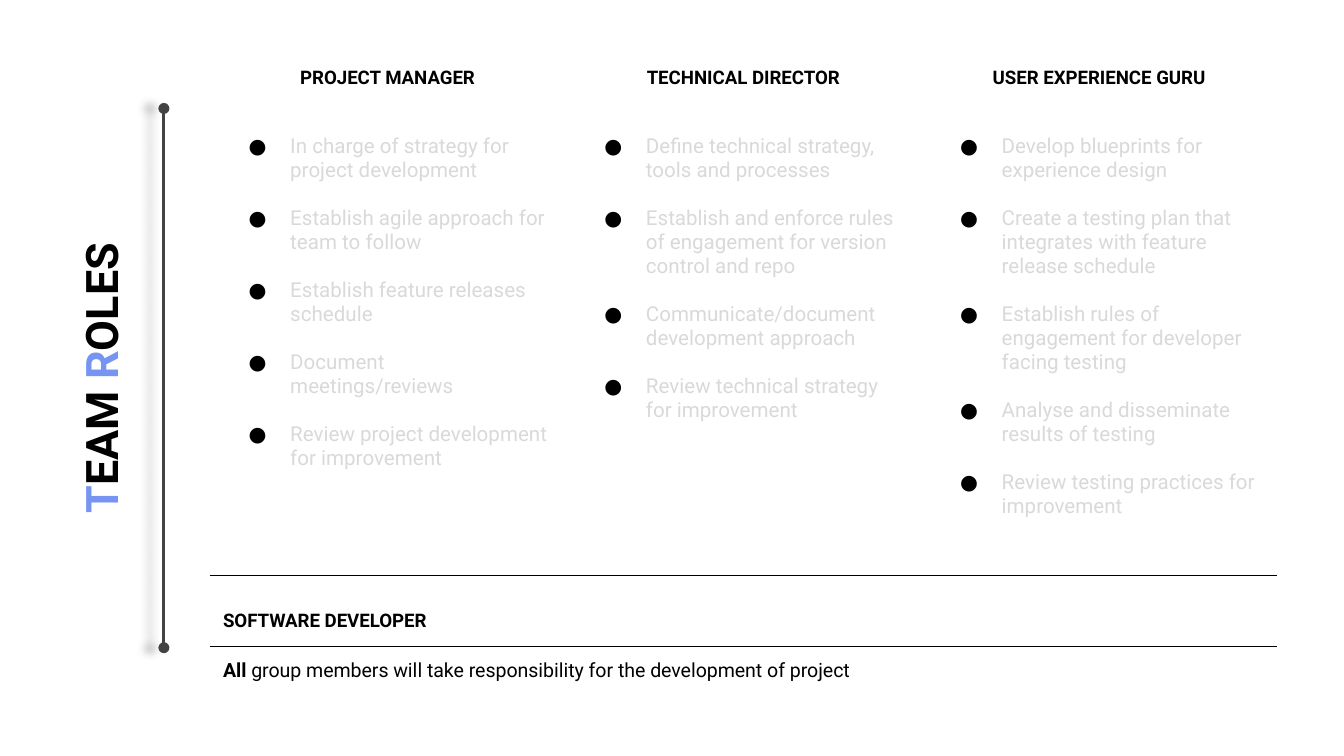
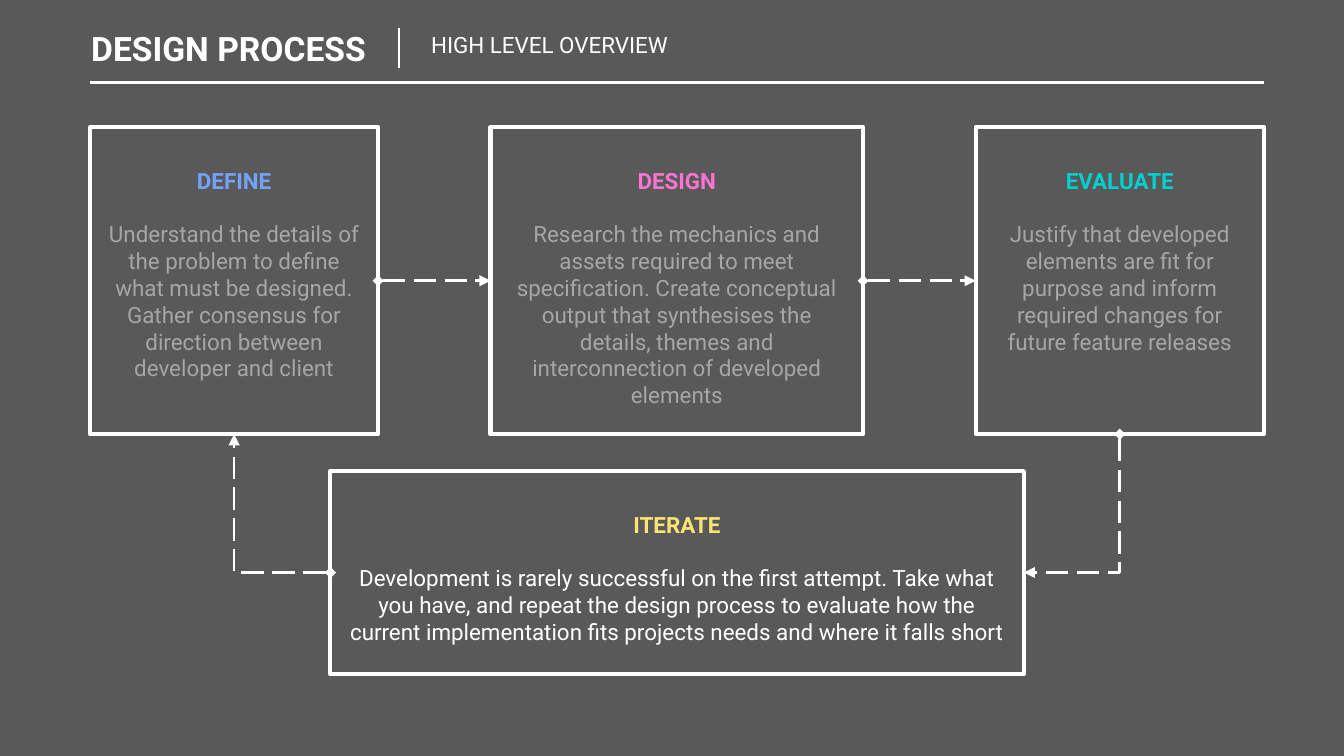
import pptx
import pptx.dml.color
import pptx.enum.dml
import pptx.enum.shapes
import pptx.enum.text
import pptx.oxml
import pptx.oxml.ns
import pptx.util
from lxml import etree

Pt = pptx.util.Pt
qn = pptx.oxml.ns.qn
LEFT, CENTER = pptx.enum.text.PP_ALIGN.LEFT, pptx.enum.text.PP_ALIGN.CENTER
STRAIGHT = pptx.enum.shapes.MSO_CONNECTOR.STRAIGHT
ELBOW = pptx.enum.shapes.MSO_CONNECTOR.ELBOW
TOP, LEFT_SIDE, BOTTOM, RIGHT_SIDE = range(4)

# Shared look
FONT = "Roboto"
BLACK, WHITE, PALE, GREY = "000000", "FFFFFF", "D9D9D9", "A6A6A6"
CHARCOAL, SLATE, ACCENT = "434343", "595959", "7794F3"
INSET = 7.2


def rgb(value):
    return pptx.dml.color.RGBColor.from_string(value)


def write(frame, paragraphs, align=LEFT, after=0, top=INSET):
    """Fill a frame or cell; each paragraph is a list of (text, size, colour, bold)."""
    margins = {"margin_left": INSET, "margin_right": INSET,
               "margin_top": top, "margin_bottom": INSET}
    for side, value in margins.items():
        setattr(frame, side, Pt(value))
    frame.word_wrap = True
    frame.vertical_anchor = pptx.enum.text.MSO_ANCHOR.TOP
    body = getattr(frame, "text_frame", frame)
    for number, runs in enumerate(paragraphs):
        paragraph = body.add_paragraph() if number else body.paragraphs[0]
        paragraph.alignment = align
        paragraph.space_after = Pt(after)
        for text, size, colour, bold in runs:
            run = paragraph.add_run()
            run.text = text
            font_format = {"name": FONT, "size": Pt(size), "bold": bold}
            for key, value in font_format.items():
                setattr(run.font, key, value)
            run.font.color.rgb = rgb(colour)
    return body


deck = pptx.Presentation()
deck.slide_width, deck.slide_height = Pt(720), Pt(405)
roles_slide, process_slide = [deck.slides.add_slide(deck.slide_layouts[6]) for _ in range(2)]
for slide, backdrop in ((roles_slide, WHITE), (process_slide, SLATE)):
    slide.background.fill.solid()
    slide.background.fill.fore_color.rgb = rgb(backdrop)
lines = []  # (connector, colour, head, tail, dashed)

# Slide 1: role table
roles = {
    "PROJECT MANAGER": [
        "In charge of strategy for project development",
        "Establish agile approach for team to follow",
        "Establish feature releases schedule",
        "Document meetings/reviews",
        "Review project development for improvement",
    ],
    "TECHNICAL DIRECTOR": [
        "Define technical strategy, tools and processes",
        "Establish and enforce rules of engagement for version control and repo",
        "Communicate/document development approach",
        "Review technical strategy for improvement",
    ],
    "USER EXPERIENCE GURU": [
        "Develop blueprints for experience design",
        "Create a testing plan that integrates with feature release schedule",
        "Establish rules of engagement for developer facing testing",
        "Analyse and disseminate results of testing",
        "Review testing practices for improvement",
    ],
}
role_frame = roles_slide.shapes.add_table(4, 4, Pt(80.6), Pt(28.8), Pt(603.4), Pt(418.5))
role_table = role_frame.table
role_table.first_row = role_table.horz_banding = False
# Plain table style without grid
role_table._tbl.tblPr.find(qn("a:tableStyleId")).text = "{2D5ABB26-0587-4C30-8999-92F81FD0307C}"
for column, width in zip(role_table.columns, (31.7, 190.6, 190.6, 190.6)):
    column.width = Pt(width)
for row, height in zip(role_table.rows, (36, 243.5, 38, 101)):
    row.height = Pt(height)

for column, (role, duties) in enumerate(roles.items(), 1):
    write(role_table.cell(0, column), [[(role, 10, BLACK, True)]], CENTER)
    duty_list = write(role_table.cell(1, column),
                      [[(duty, 11, PALE, False)] for duty in duties], after=12.9)
    for paragraph in duty_list.paragraphs:
        properties = paragraph._p.get_or_add_pPr()
        properties.set("marL", str(Pt(36)))
        properties.set("indent", str(Pt(-22.3)))
        bullet_colour = etree.SubElement(properties, qn("a:buClr"))
        etree.SubElement(bullet_colour, qn("a:srgbClr"), val=BLACK)
        etree.SubElement(properties, qn("a:buFont"), typeface=FONT)
        etree.SubElement(properties, qn("a:buChar"), char="●")

# Shared role below the duties
for row in (2, 3):
    role_table.cell(row, 1).merge(role_table.cell(row, 3))
write(role_table.cell(2, 1), [[("SOFTWARE DEVELOPER", 10, BLACK, True)]], top=18.9)
write(role_table.cell(3, 1), [[
    ("All", 10.5, BLACK, True),
    (" group members will take responsibility for the development of project", 10.5, BLACK, False),
]])

for cell in role_table.iter_cells():
    cell.fill.background()
# Rule between the duties and the shared role
for row, edge in ((1, "a:lnB"), (2, "a:lnT")):
    for column in (1, 2, 3):
        border = etree.Element(qn(edge), w=str(Pt(0.75)))
        border_fill = etree.SubElement(border, qn("a:solidFill"))
        etree.SubElement(border_fill, qn("a:srgbClr"), val=BLACK)
        role_table.cell(row, column)._tc.get_or_add_tcPr().insert(0, border)

# Upright title and its line
roles_title = roles_slide.shapes.add_textbox(Pt(-121.7), Pt(180.7), Pt(351.4), Pt(43.9))
roles_title.rotation = 270
write(roles_title.text_frame, [[
    ("T", 24, ACCENT, True), ("EAM", 24, BLACK, True),
    (" R", 24, ACCENT, True), ("OLES", 24, BLACK, True),
]], CENTER)
title_rail = roles_slide.shapes.add_connector(STRAIGHT, Pt(87.8), Pt(58.1), Pt(87.8), Pt(347))
lines.append((title_rail, CHARCOAL, "oval", "oval", False))

# Slide 2: header
for text, size, bold, left, width, top in (
    ("DESIGN PROCESS", 18, True, 41.8, 167.8, 9.2),
    ("HIGH LEVEL OVERVIEW", 12, False, 223.9, 419.8, 14.1),
):
    heading = process_slide.shapes.add_textbox(Pt(left), Pt(5.8), Pt(width), Pt(39.6))
    write(heading.text_frame, [[(text, size, WHITE, bold)]], top=top)
for x1, y1, x2, y2 in ((213.8, 15.1, 213.8, 36.5), (48.2, 44, 677, 44)):
    divider = process_slide.shapes.add_connector(STRAIGHT, Pt(x1), Pt(y1), Pt(x2), Pt(y2))
    lines.append((divider, WHITE, None, None, False))

# Step boxes
steps = (
    ("DEFINE", "74A2FA", GREY, (48.2, 68.2, 154.4, 164.4),
     "Understand the details of the problem to define what must be designed. "
     "Gather consensus for direction between developer and client"),
    ("DESIGN", "FA74D2", GREY, (262.8, 68.2, 199.6, 164.4),
     "Research the mechanics and assets required to meet specification. Create conceptual "
     "output that synthesises the details, themes and interconnection of developed elements"),
    ("EVALUATE", "00D1CE", GREY, (522.7, 68.2, 154.4, 164.4),
     "Justify that developed elements are fit for purpose and inform required changes "
     "for future feature releases"),
    ("ITERATE", "FAE574", WHITE, (177, 252.4, 371.5, 108.7),
     "Development is rarely successful on the first attempt. Take what you have, and repeat "
     "the design process to evaluate how the current implementation fits projects needs "
     "and where it falls short"),
)
boxes = {}
for step, step_colour, text_colour, place, description in steps:
    box = process_slide.shapes.add_shape(
        pptx.enum.shapes.MSO_SHAPE.RECTANGLE, *[Pt(value) for value in place])
    box.shadow.inherit = False
    box.fill.background()
    box.line.color.rgb = rgb(WHITE)
    box.line.width = Pt(2.25)
    body = write(box.text_frame, [[(step, 12, step_colour, True)],
                                  [(description, 12, text_colour, False)]], CENTER, top=21.3)
    body.paragraphs[0].space_after = Pt(14.1)
    boxes[step] = box

# Arrows between steps; a turn marks a single-corner arrow
for start, start_side, end, end_side, turn in (
    ("DEFINE", RIGHT_SIDE, "DESIGN", LEFT_SIDE, None),
    ("DESIGN", RIGHT_SIDE, "EVALUATE", LEFT_SIDE, None),
    ("EVALUATE", BOTTOM, "ITERATE", RIGHT_SIDE, 90),
    ("ITERATE", LEFT_SIDE, "DEFINE", TOP + BOTTOM, 180),
):
    arrow = process_slide.shapes.add_connector(ELBOW, 0, 0, 0, 0)
    arrow.begin_connect(boxes[start], start_side)
    arrow.end_connect(boxes[end], end_side)
    if turn:
        left, top, width, height = arrow.left, arrow.top, arrow.width, arrow.height
        if turn == 90:
            # The unturned frame swaps its sides around the same centre
            left, top = left + (width - height) // 2, top + (height - width) // 2
            width, height = height, width
        frame = {"left": left, "top": top, "width": width, "height": height}
        for key, value in frame.items():
            setattr(arrow, key, value)
        transform = arrow._element.spPr.find(qn("a:xfrm"))
        for key, value in {"flipH": "0", "flipV": "0", "rot": str(turn * 60000)}.items():
            transform.set(key, value)
        arrow._element.spPr.find(qn("a:prstGeom")).set("prst", "bentConnector2")
    lines.append((arrow, WHITE, "diamond", "triangle", True))

# Line styles for both slides
for line, colour, head, tail, dashed in lines:
    line.line.color.rgb = rgb(colour)
    line.line.width = Pt(1.5)
    if dashed:
        line.line.dash_style = pptx.enum.dml.MSO_LINE.LONG_DASH
    for tag, end_type in (("a:headEnd", head), ("a:tailEnd", tail)):
        if end_type:
            etree.SubElement(line.line._get_or_add_ln(), qn(tag), type=end_type)
    effects = etree.SubElement(line._element.spPr, qn("a:effectLst"))
    if line is title_rail:
        shadow = etree.SubElement(effects, qn("a:outerShdw"), blurRad=str(Pt(4.5)),
                                  dist=str(Pt(7.5)), dir=str(180 * 60000))
        shadow_colour = etree.SubElement(shadow, qn("a:srgbClr"), val=BLACK)
        etree.SubElement(shadow_colour, qn("a:alpha"), val="23000")

deck.save("out.pptx")
